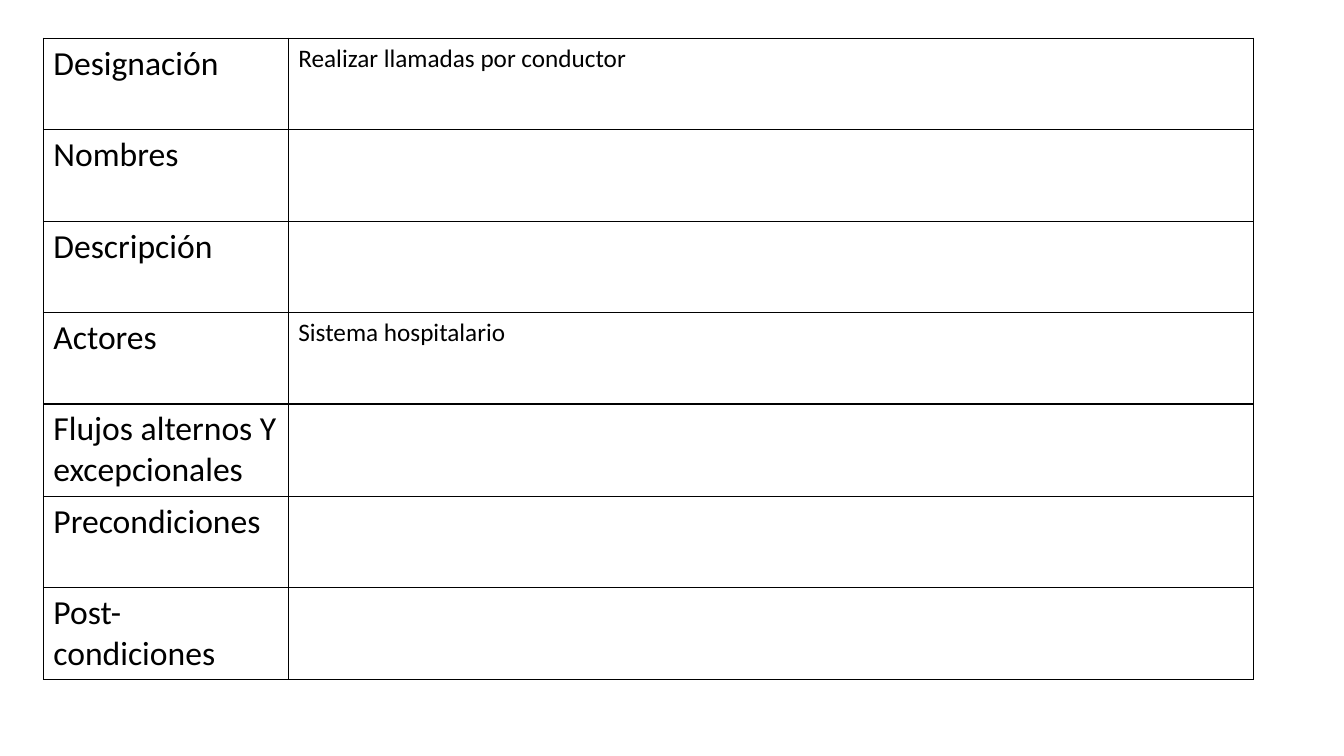
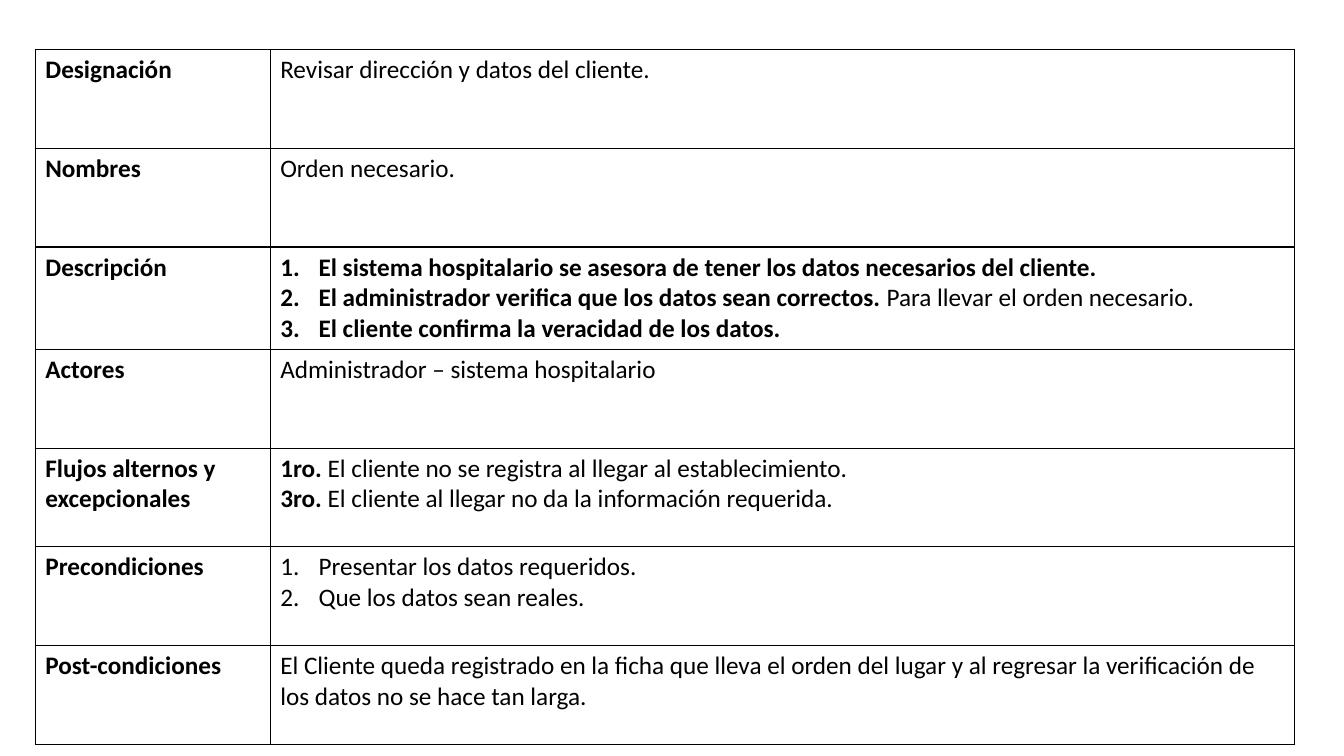
import pptx
import pptx.dml.color
import pptx.oxml.ns
import pptx.util
from lxml import etree

Inches = pptx.util.Inches
COLORS = {"ink": "000000"}
FONT = "Calibri"
BORDER_WIDTH = pptx.util.Pt(1)
NUMBER_INDENT = Inches(0.38)
BODY_SIZE = 18

CALLS_CASE = [
    ("Designación", ["Realizar llamadas por conductor"]),
    ("Nombres", []),
    ("Descripción", []),
    ("Actores", ["Sistema hospitalario"]),
    ("Flujos alternos Y excepcionales", []),
    ("Precondiciones", []),
    ("Post-condiciones", []),
]

# A paragraph is a plain string or a list of (text, bold) runs.
CLIENT_DATA_CASE = [
    ("Designación", ["Revisar dirección y datos del cliente."]),
    ("Nombres", ["Orden necesario."]),
    ("Descripción", [
        [("El sistema hospitalario se asesora de tener los datos necesarios del cliente.", True)],
        [("El administrador verifica que los datos sean correctos. ", True),
         ("Para llevar el orden necesario.", False)],
        [("El cliente confirma la veracidad de los datos.", True)],
    ]),
    ("Actores", ["Administrador – sistema hospitalario"]),
    ("Flujos alternos y excepcionales", [
        [("1ro. ", True), ("El cliente no se registra al llegar al establecimiento.", False)],
        [("3ro. ", True), ("El cliente al llegar no da la información requerida.", False)],
    ]),
    ("Precondiciones", ["Presentar los datos requeridos.", "Que los datos sean reales."]),
    ("Post-condiciones", [
        "El Cliente queda registrado en la ficha que lleva el orden del lugar y al regresar "
        "la verificación de los datos no se hace tan larga."]),
]
NUMBERED_FIELDS = ("Descripción", "Precondiciones")


def add_element(parent, tag, **attributes):
    element = etree.SubElement(parent, pptx.oxml.ns.qn(tag))
    for key, value in attributes.items():
        element.set(key, str(value))
    return element


def number_paragraph(paragraph):
    properties = paragraph._p.get_or_add_pPr()
    properties.set("marL", str(NUMBER_INDENT))
    properties.set("indent", str(-NUMBER_INDENT))
    add_element(properties, "a:buFont", typeface="+mj-lt")
    add_element(properties, "a:buAutoNum", type="arabicPeriod")


def write_text(frame, paragraphs, size=BODY_SIZE, bold=False, numbered=False):
    for index, content in enumerate(paragraphs):
        paragraph = frame.add_paragraph() if index else frame.paragraphs[0]
        if numbered:
            number_paragraph(paragraph)
        runs = [(content, bold)] if isinstance(content, str) else content
        for text, run_bold in runs:
            run = paragraph.add_run()
            run.text = text
            run.font.name = FONT
            run.font.size = pptx.util.Pt(size)
            run.font.bold = run_bold
            run.font.color.rgb = pptx.dml.color.RGBColor.from_string(COLORS["ink"])


def outline_cell(cell):
    """Draw all four borders and leave the cell unfilled."""
    properties = cell._tc.get_or_add_tcPr()
    for side in ("a:lnL", "a:lnR", "a:lnT", "a:lnB"):
        line = add_element(properties, side, w=BORDER_WIDTH)
        fill = add_element(line, "a:solidFill")
        add_element(fill, "a:srgbClr", val=COLORS["ink"])
    cell.fill.background()


def add_use_case(slide, fields, box, label_width, label_size=BODY_SIZE, label_bold=False):
    """Fill box with one equal row per field: its label, then its content."""
    left, top, width, height = box
    table = slide.shapes.add_table(
        len(fields), 2, Inches(left), Inches(top), Inches(width), Inches(height)).table
    table.first_row = table.horz_banding = False
    table.columns[0].width = Inches(label_width)
    table.columns[1].width = Inches(width - label_width)
    for row, (label, content) in enumerate(fields):
        label_cell, content_cell = table.cell(row, 0), table.cell(row, 1)
        outline_cell(label_cell)
        outline_cell(content_cell)
        write_text(label_cell.text_frame, [label], size=label_size, bold=label_bold)
        write_text(content_cell.text_frame, content, numbered=label in NUMBERED_FIELDS)


def main():
    deck = pptx.Presentation()
    deck.slide_width, deck.slide_height = Inches(13.33), Inches(7.5)
    blank = deck.slide_layouts[6]
    add_use_case(deck.slides.add_slide(blank), CALLS_CASE,
                 box=(0.43, 0.38, 12, 6.35), label_width=2.43, label_size=24)
    add_use_case(deck.slides.add_slide(blank), CLIENT_DATA_CASE,
                 box=(0.35, 0.49, 12.49, 6.86), label_width=2.33, label_bold=True)
    deck.save("out.pptx")


if __name__ == "__main__":
    main()
